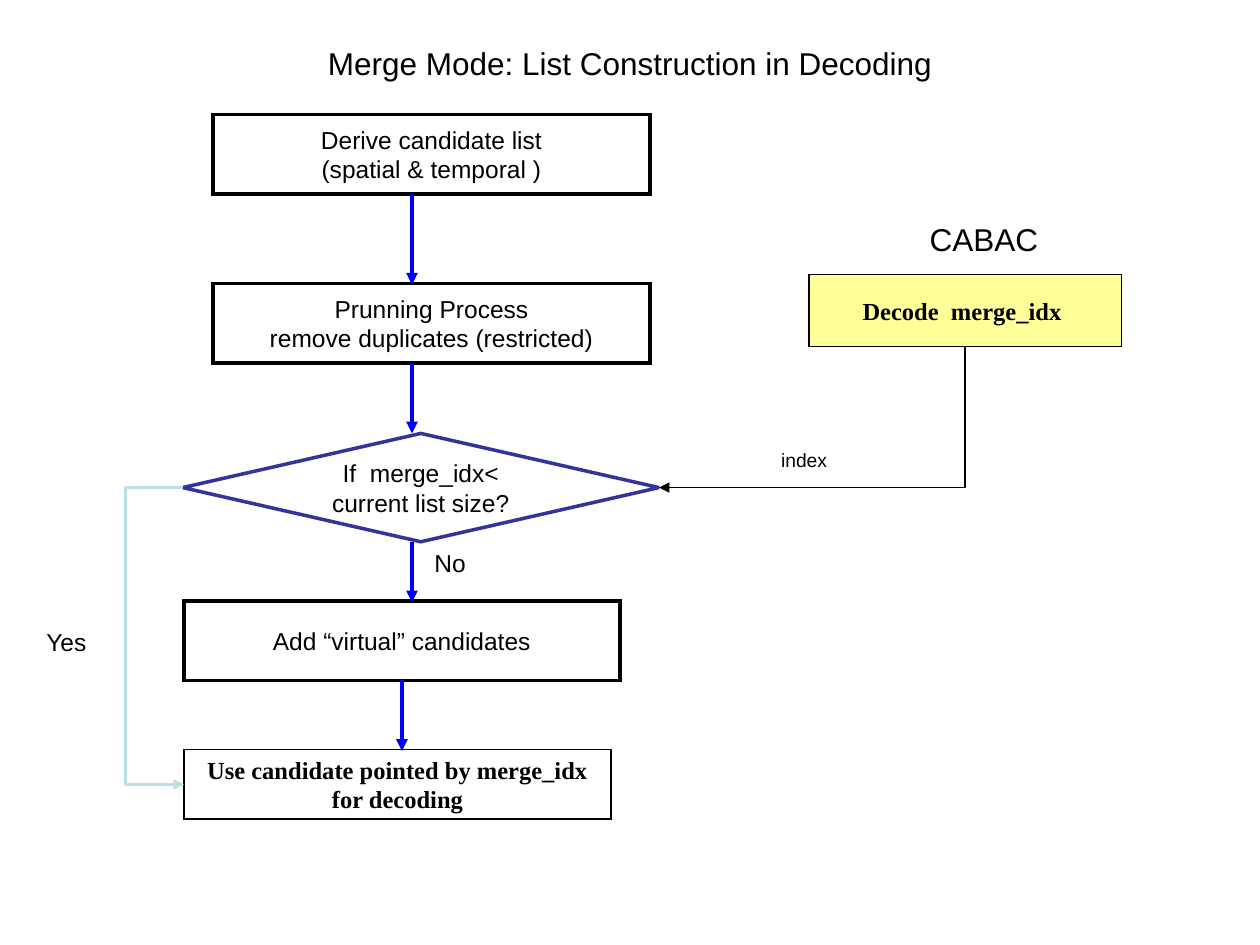
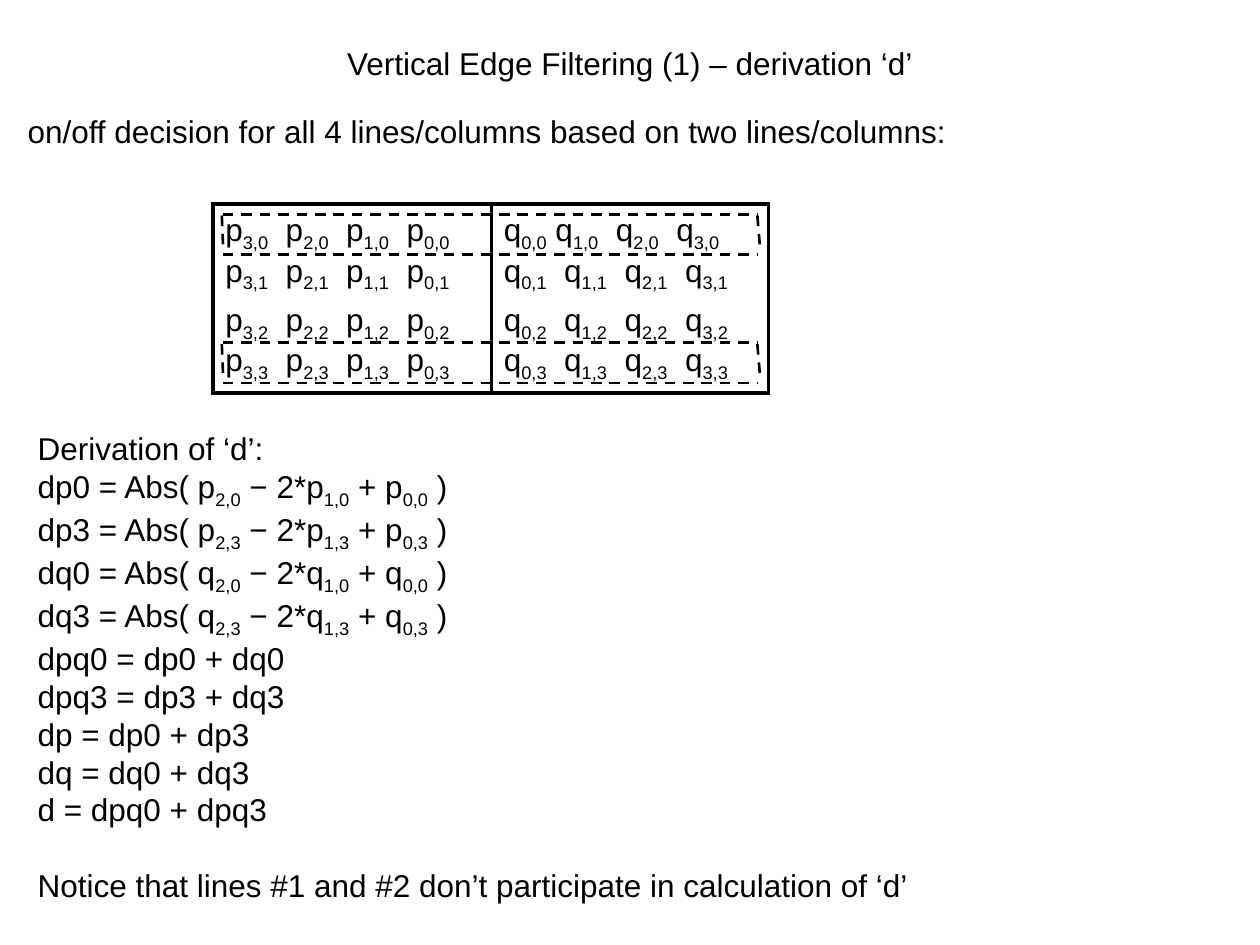
from pptx import Presentation
from pptx.dml.color import RGBColor
from pptx.enum import dml, shapes, text
from pptx.oxml.ns import qn
from pptx.util import Inches, Pt
from lxml import etree

COLORS = {
    "black": "000000",
    "white": "FFFFFF",
    "diamond": "333399",
    "arrow": "0000FF",
    "yes": "BBE0E3",
    "cabac": "FFFF99",
}
SANS, SERIF = "Arial", "Times New Roman"
PROCESS = shapes.MSO_SHAPE.FLOWCHART_PROCESS
DIAMOND = shapes.MSO_SHAPE.DIAMOND
RECT = shapes.MSO_SHAPE.RECTANGLE
STRAIGHT = shapes.MSO_CONNECTOR.STRAIGHT
ELBOW = shapes.MSO_CONNECTOR.ELBOW
TOP, LEFT, BOTTOM, RIGHT = range(4)


def rgb(name):
    return RGBColor.from_string(COLORS[name])


def fill_text(tf, lines, size, font=SANS, bold=False, center=False):
    for i, line in enumerate(lines):
        p = tf.paragraphs[0] if i == 0 else tf.add_paragraph()
        p.alignment = text.PP_ALIGN.CENTER if center else text.PP_ALIGN.LEFT
        for k, part in enumerate(line.replace("]", "[").split("[")):
            if not part:
                continue
            r = p.add_run()
            r.text = part
            r.font.size = Pt(size)
            r.font.name = font
            r.font.bold = bold
            r.font.color.rgb = rgb("black")
            if k % 2:
                r._r.get_or_add_rPr().set("baseline", "-25000")


def add_label(s, box, lines, size=18, wrap=False, center=False):
    sp = s.shapes.add_textbox(*map(Inches, box))
    tf = sp.text_frame
    tf.word_wrap = wrap
    if center:
        tf.vertical_anchor = text.MSO_ANCHOR.MIDDLE
    fill_text(tf, lines, size, center=center)
    return tf


def add_title(s, title):
    add_label(s, (0.5, 0.08, 9, 0.84), [title], wrap=True, center=True)


def add_box(s, kind, box, lines=(), line="black", width=2, fill="white",
            font=SANS, bold=False, wrap=True):
    sp = s.shapes.add_shape(kind, *map(Inches, box))
    sp.shadow.inherit = False
    if fill:
        sp.fill.solid()
        sp.fill.fore_color.rgb = rgb(fill)
    else:
        sp.fill.background()
    sp.line.color.rgb = rgb(line)
    sp.line.width = Pt(width)
    etree.SubElement(sp.line._get_or_add_ln(), qn("a:miter")).set("lim", "800000")
    tf = sp.text_frame
    tf.word_wrap = wrap
    tf.vertical_anchor = text.MSO_ANCHOR.MIDDLE
    fill_text(tf, lines, 14, font, bold, center=True)
    return sp


def add_line(s, ends, color="black", width=1.5, kind=STRAIGHT, arrow=None,
             dashed=False, begin=None, end=None):
    c = s.shapes.add_connector(kind, *map(Inches, ends))
    if begin:
        c.begin_connect(*begin)
    if end:
        c.end_connect(*end)
    c.line.color.rgb = rgb(color)
    c.line.width = Pt(width)
    if dashed:
        c.line.dash_style = dml.MSO_LINE.DASH
    if arrow:
        ln = c.line._get_or_add_ln()
        etree.SubElement(ln, qn(f"a:{arrow}")).set("type", "triangle")
    etree.SubElement(c._element.spPr, qn("a:effectLst"))
    return c


def set_bend(c, preset, adjust=None):
    geom = c._element.spPr.find(qn("a:prstGeom"))
    geom.set("prst", preset)
    if adjust is not None:
        gd = etree.SubElement(geom.find(qn("a:avLst")), qn("a:gd"))
        gd.set("name", "adj1")
        gd.set("fmla", f"val {adjust}")


def build_merge_mode(s):
    add_title(s, "Merge Mode: List Construction in Decoding")
    add_box(s, PROCESS, (1.69, 0.91, 3.47, 0.63),
            ["Derive candidate list", "(spatial & temporal )"])
    add_box(s, PROCESS, (1.69, 2.25, 3.47, 0.63),
            ["Prunning Process", "remove duplicates (restricted)"])
    check = add_box(s, DIAMOND, (1.45, 3.44, 3.78, 0.86),
                    ["If  merge_idx< current list size?"], line="diamond")
    virtual = add_box(s, PROCESS, (1.46, 4.77, 3.46, 0.63),
                      ["Add “virtual” candidates"])
    use = add_box(s, RECT, (1.46, 5.95, 3.39, 0.55),
                  ["Use candidate pointed by merge_idx", "for decoding"],
                  width=0.75, fill=None, font=SERIF, bold=True, wrap=False)
    decode = add_box(s, RECT, (6.42, 2.18, 2.48, 0.57),
                     ["Decode  merge_idx "], width=0.75, fill="cabac",
                     font=SERIF, bold=True, wrap=False)

    for top, bottom in ((1.54, 2.26), (2.88, 3.44), (4.3, 4.78)):
        add_line(s, (3.27, top, 3.27, bottom), "arrow", 2.25, arrow="tailEnd")
    add_line(s, (3.19, 5.4, 3.19, 5.96), "arrow", 2.25, arrow="tailEnd",
             begin=(virtual, BOTTOM))

    yes = add_line(s, (1.45, 3.87, 1.46, 6.23), "yes", 2, ELBOW, "tailEnd",
                   begin=(check, LEFT), end=(use, LEFT))
    set_bend(yes, "bentConnector3", -4600000)
    index = add_line(s, (5.23, 3.87, 7.66, 2.75), "black", 0.75, ELBOW,
                     "headEnd", begin=(check, RIGHT), end=(decode, BOTTOM))
    set_bend(index, "bentConnector2")

    add_label(s, (0.27, 4.93, 0.6, 0.34), ["Yes"], 14)
    add_label(s, (3.35, 4.3, 0.5, 0.34), ["No"], 14)
    add_label(s, (7.28, 1.7, 1.1, 0.4), ["CABAC"])
    add_label(s, (6.1, 3.51, 0.65, 0.29), ["index"], 11)


def add_samples(s, letter, columns, left, width):
    add_box(s, RECT, (left, 1.62, width, 1.5))
    for row, top in enumerate((1.62, 1.94, 2.33, 2.65)):
        samples = "  ".join(f"{letter}[{col},{row}]" for col in columns)
        if letter == "q" and row == 0:
            samples = samples.replace("  ", " ", 1)
        add_label(s, (left, top, 2.05, 0.44), [samples])


def add_dashed_frame(s, top):
    for y in (top, top + 0.32):
        add_line(s, (1.77, y, 6.02, y), dashed=True)
    for low, high in ((1.77, 1.76), (6.03, 6.01)):
        add_line(s, (low, top + 0.24, high, top), dashed=True)


def build_edge_filtering(s):
    add_title(s, "Vertical Edge Filtering (1) – derivation ‘d’")
    add_label(s, (0.12, 0.84, 9.21, 0.7),
              ["on/off decision for all 4 lines/columns based on two "
               "lines/columns:"], wrap=True)
    add_samples(s, "p", (3, 2, 1, 0), 1.69, 2.21)
    add_samples(s, "q", (0, 1, 2, 3), 3.9, 2.2)
    for top in (1.7, 2.72):
        add_dashed_frame(s, top)

    derivatives = [f"d{x}{n} = Abs( {x}[2,{n}] − 2*{x}[1,{n}] + {x}[0,{n}] )"
                   for x in "pq" for n in (0, 3)]
    sums = [f"dpq{n} = dp{n} + dq{n}" for n in (0, 3)]
    sums += [f"d{x} = d{x}0 + d{x}3" for x in "pq"]
    tf = add_label(
        s, (0.2, 3.36, 9.21, 4.1),
        ["Derivation of ‘d’:", *derivatives, *sums, "d = dpq0 + dpq3",
         "Notice that lines #1 and #2 don’t participate in calculation of ‘d’"],
        wrap=True)
    tf.paragraphs[-1].space_before = Pt(21.5)


def main():
    prs = Presentation()
    prs.slide_width, prs.slide_height = Inches(10), Inches(7.5)
    for build in (build_merge_mode, build_edge_filtering):
        build(prs.slides.add_slide(prs.slide_layouts[6]))
    prs.save("out.pptx")


if __name__ == "__main__":
    main()
